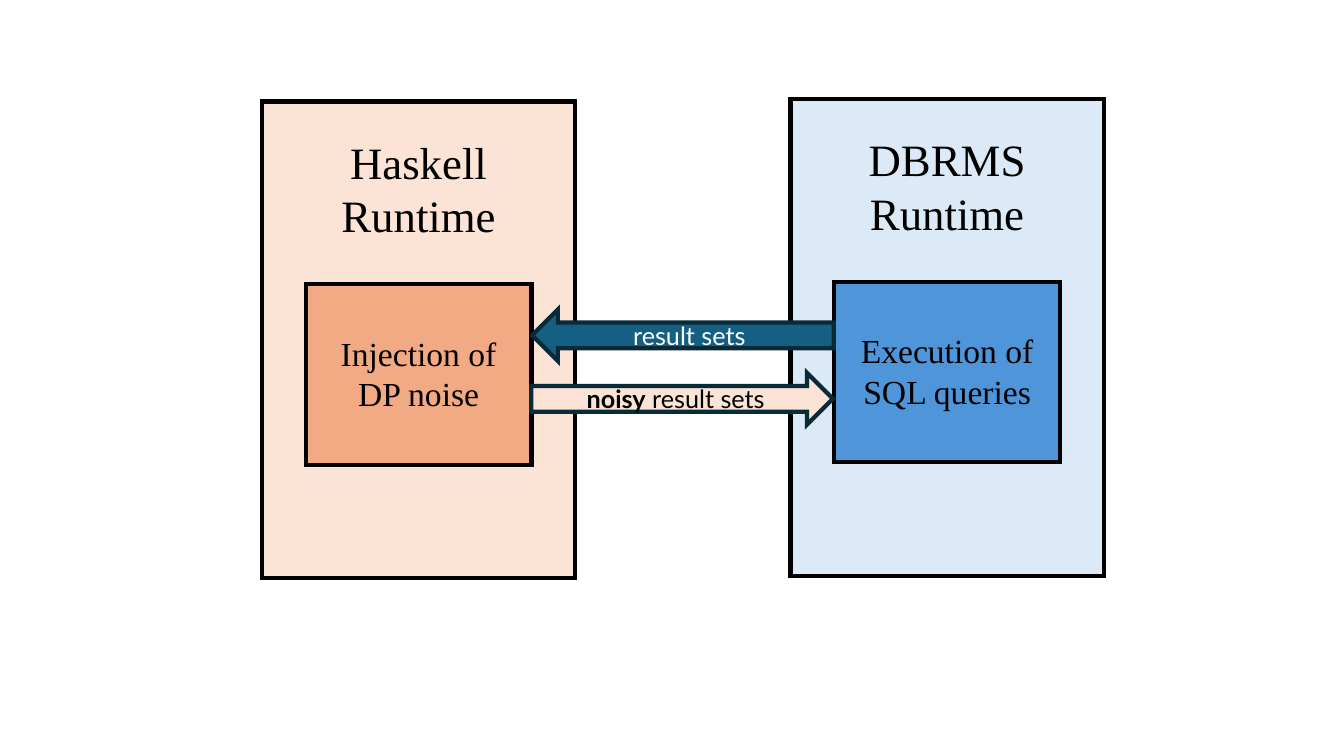
from lxml import etree
from pptx import Presentation
from pptx import util as u
from pptx.dml.color import RGBColor
from pptx.enum import shapes, text
from pptx.oxml import ns

COLORS = {
    "black": "000000",
    "white": "FFFFFF",
    "peach": "FBE3D6",
    "orange": "F2AA84",
    "pale blue": "DCEAF7",
    "blue": "4E95D9",
    "teal": "156082",
    "dark teal": "092A39",
}


def color(name):
    return RGBColor.from_string(COLORS[name])


def write(paragraph, content, *, size, font, ink="black", bold=False):
    """Append one formatted run to a centred paragraph."""
    paragraph.alignment = text.PP_ALIGN.CENTER
    run = paragraph.add_run()
    run.text = content
    run.font.size = u.Pt(size)
    run.font.name = font
    run.font.bold = bold
    run.font.color.rgb = color(ink)


class Diagram:
    serif = "Times New Roman"
    sans = "Lato"
    line_width = u.Pt(3)

    def __init__(self, slide):
        self.slide = slide

    def shape(self, kind, left, top, width, height, fill, line="black"):
        """Draw a filled shape whose outline has sharp corners."""
        shape = self.slide.shapes.add_shape(
            kind, u.Cm(left), u.Cm(top), u.Cm(width), u.Cm(height))
        shape.shadow.inherit = False
        shape.fill.solid()
        shape.fill.fore_color.rgb = color(fill)
        shape.line.color.rgb = color(line)
        shape.line.width = self.line_width
        outline = shape.element.spPr.find(ns.qn("a:ln"))
        etree.SubElement(outline, ns.qn("a:miter"), lim="800000")
        return shape

    def label(self, lines, center, top, width, height, size):
        box = self.slide.shapes.add_textbox(
            u.Cm(center - width / 2), u.Cm(top), u.Cm(width), u.Cm(height))
        frame = box.text_frame
        frame.word_wrap = False
        frame.auto_size = text.MSO_AUTO_SIZE.SHAPE_TO_FIT_TEXT
        for index, line in enumerate(lines):
            paragraph = frame.add_paragraph() if index else frame.paragraphs[0]
            write(paragraph, line, size=size, font=self.serif)

    def runtime(self, left, top, title, task, panel_fill, task_fill):
        """Draw a titled panel with its task box inside."""
        rectangle = shapes.MSO_SHAPE.RECTANGLE
        center = left + 7.9 / 2
        self.shape(rectangle, left, top, 7.9, 12.01, panel_fill)
        self.label(title, center, top + 0.7, 5, 3, 32)
        self.shape(rectangle, center - 5.69 / 2, top + 4.6, 5.69, 4.55, task_fill)
        self.label(task, center, top + 5.7, 5.2, 2.31, 24)

    def arrow(self, kind, left, top, fill, ink, runs):
        """Draw a block arrow; runs are (text, bold) pairs."""
        arrow = self.shape(kind, left, top, 7.6, 1.3, fill, "dark teal")
        frame = arrow.text_frame
        frame.word_wrap = True
        frame.vertical_anchor = text.MSO_ANCHOR.MIDDLE
        for content, bold in runs:
            write(frame.paragraphs[0], content, size=18, font=self.sans,
                  ink=ink, bold=bold)


def main():
    presentation = Presentation()
    presentation.slide_width = u.Cm(33.87)
    presentation.slide_height = u.Cm(19.05)
    diagram = Diagram(presentation.slides.add_slide(presentation.slide_layouts[6]))

    diagram.runtime(6.6, 2.56, ["Haskell", "Runtime"],
                    ["Injection of", "DP noise"], "peach", "orange")
    diagram.runtime(19.92, 2.5, ["DBRMS", "Runtime"],
                    ["Execution of", "SQL queries"], "pale blue", "blue")
    diagram.arrow(shapes.MSO_SHAPE.LEFT_ARROW, 13.41, 7.8, "teal", "white",
                  [("result sets", False)])
    diagram.arrow(shapes.MSO_SHAPE.RIGHT_ARROW, 13.39, 9.4, "peach", "black",
                  [("noisy", True), (" result sets", False)])

    presentation.save("out.pptx")


if __name__ == "__main__":
    main()
